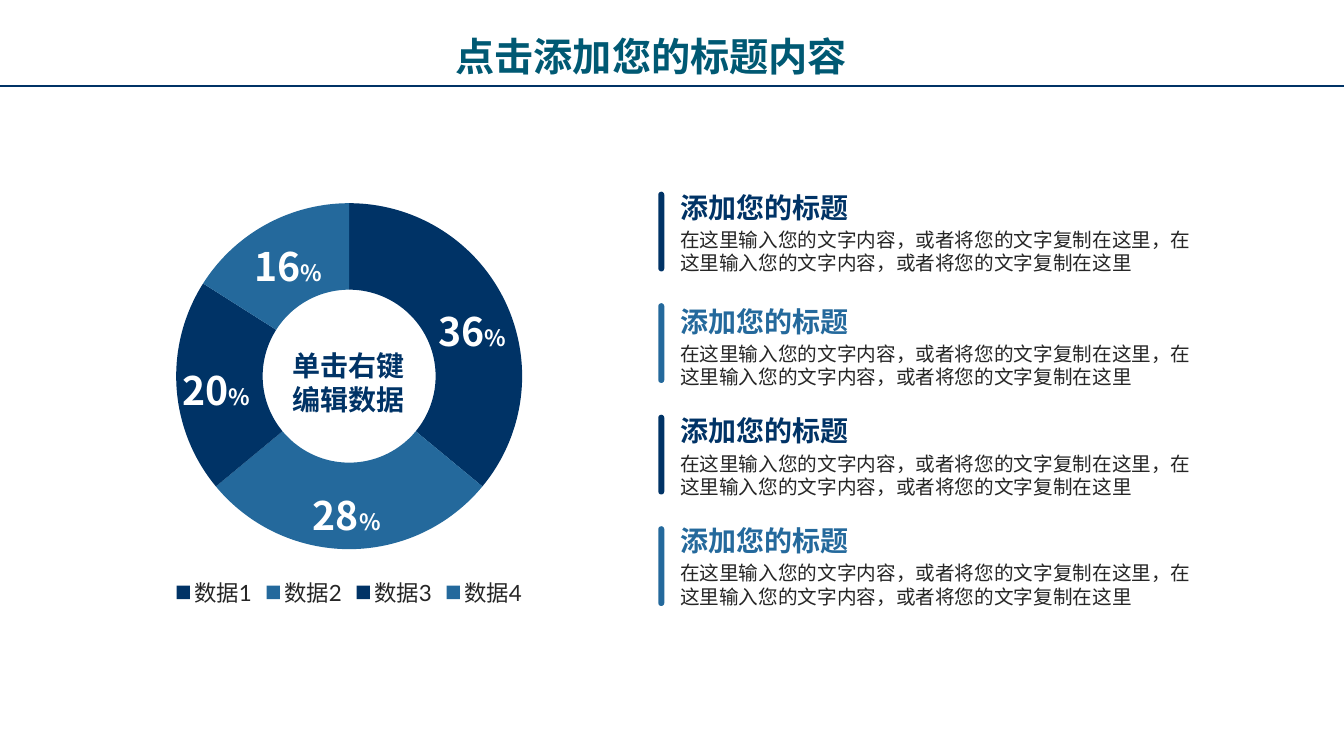
from lxml import etree
from pptx import Presentation
from pptx import util as u
from pptx.chart.data import CategoryChartData
from pptx.dml.color import RGBColor
from pptx.enum import chart as charts, shapes, text
from pptx.oxml import parse_xml
from pptx.oxml.ns import nsdecls, qn

COLORS = {"navy": "003366", "blue": "24699C", "teal": "005973",
          "ink": "262626", "white": "FFFFFF"}
FONT = "Noto Sans CJK SC"
TONES = ["navy", "blue", "navy", "blue"]
BODY = "在这里输入您的文字内容，或者将您的文字复制在这里，" * 2
SHARES = [(36, 10.54, 7.54), (28, 7.37, 12.17), (20, 4.09, 9.02), (16, 5.89, 5.89)]
HEADS = [4.6, 7.47, 10.24, 13.0]


def tint(name):
    return RGBColor.from_string(COLORS[name])


class Board:
    def __init__(self, slide):
        self.slide = slide
        self.items = slide.shapes

    def rule(self, top, width):
        line = self.items.add_connector(shapes.MSO_CONNECTOR.STRAIGHT,
                                        0, u.Cm(top), u.Cm(width), u.Cm(top))
        line.line.color.rgb = tint("navy")
        line.line.width = u.Pt(1.5)
        etree.SubElement(line._element.spPr, qn("a:effectLst"))

    def bar(self, left, top, width, height, color):
        bar = self.items.add_shape(shapes.MSO_SHAPE.ROUND_2_SAME_RECTANGLE,
                                   u.Cm(left), u.Cm(top), u.Cm(width), u.Cm(height))
        bar.adjustments[0] = bar.adjustments[1] = 0.5
        bar.rotation = 180
        bar.shadow.inherit = False
        bar.fill.solid()
        bar.fill.fore_color.rgb = tint(color)
        bar.line.fill.background()

    def style(self, run, size, color, bold):
        run.font.size = u.Pt(size)
        run.font.bold = bold
        run.font.color.rgb = tint(color)
        run.font.name = FONT
        ea = etree.SubElement(run._r.get_or_add_rPr(), qn("a:ea"))
        ea.set("typeface", FONT)

    def label(self, words, left, top, width, height, size, color,
              bold=True, center=False, unit=None):
        """Add a text box; unit is a smaller run after the words."""
        box = self.items.add_textbox(u.Cm(left), u.Cm(top), u.Cm(width), u.Cm(height))
        frame = box.text_frame
        frame.text = words
        frame.word_wrap = True
        frame.auto_size = text.MSO_AUTO_SIZE.SHAPE_TO_FIT_TEXT
        # Tight lines sit high in this font, so the text is moved down a little.
        drop = 0.09 * size
        frame.margin_top = u.Pt(3.6 + drop)
        frame.margin_bottom = u.Pt(3.6 - drop)
        for para in frame.paragraphs:
            para.line_spacing = u.Pt(1.2 * size)
            if center:
                para.alignment = text.PP_ALIGN.CENTER
            for run in para.runs:
                self.style(run, size, color, bold)
        if unit:
            run = frame.paragraphs[0].add_run()
            run.text = unit
            self.style(run, 16, color, bold)

    def ring(self, left, top, width, height):
        data = CategoryChartData()
        data.categories = [f"数据{n}" for n in range(1, len(SHARES) + 1)]
        data.add_series("Series 1", [share[0] for share in SHARES])
        chart = self.items.add_chart(charts.XL_CHART_TYPE.DOUGHNUT, u.Cm(left), u.Cm(top),
                                     u.Cm(width), u.Cm(height), data).chart
        chart.has_title = False
        chart.font.name = "Calibri"
        chart.font.size = u.Pt(18)
        chart.font.color.rgb = tint("ink")
        chart.has_legend = True
        legend = chart.legend
        legend.position = charts.XL_LEGEND_POSITION.BOTTOM
        legend.include_in_layout = False
        legend.font.name = "Lato"
        legend.font.size = u.Pt(16)
        legend.font.color.rgb = tint("ink")
        plot = chart.plots[0]
        plot.vary_by_categories = True
        for i, tone in enumerate(TONES):
            look = plot.series[0].points[i].format
            look.fill.solid()
            look.fill.fore_color.rgb = tint(tone)
            look.line.fill.background()
        area = chart._chartSpace.find(".//" + qn("c:plotArea"))
        for old in area.findall(qn("c:layout")):
            area.remove(old)
        spots = {"x": 0.1, "y": 0.03, "w": 0.8, "h": 0.82}
        rows = "".join(f'<c:{key} val="{val}"/>' for key, val in spots.items())
        area.insert(0, parse_xml(
            f'<c:layout {nsdecls("c")}><c:manualLayout><c:layoutTarget val="inner"/>'
            f'<c:xMode val="edge"/><c:yMode val="edge"/>{rows}'
            '</c:manualLayout></c:layout>'))
        area.find(".//" + qn("c:holeSize")).set("val", "56")


def main():
    deck = Presentation()
    deck.slide_width, deck.slide_height = u.Cm(33.87), u.Cm(19.05)
    board = Board(deck.slides.add_slide(deck.slide_layouts[6]))
    board.rule(2.16, 33.87)
    board.label("点击添加您的标题内容", 11.23, 0.61, 11.43, 1.45, 28, "teal")
    board.ring(3.35, 4.8, 10.9, 10.64)
    board.label("单击右键\n编辑数据", 6.86, 8.59, 3.86, 1.96, 20, "navy", center=True)
    for share, left, top in SHARES:
        board.label(str(share), left, top, 2.74, 1.45, 28, "white", center=True, unit="%")
    for i, (tone, top) in enumerate(zip(TONES, HEADS)):
        board.bar(16.59, 4.83 + 2.81 * i, 0.15, 2.01, tone)
        board.label(BODY[:-1], 16.89, top + 0.97, 13.72, 1.45, 14, "ink", bold=False)
        board.label("添加您的标题", 16.89, top, 5.51, 1.12, 20, tone)
    deck.save("out.pptx")


if __name__ == "__main__":
    main()
